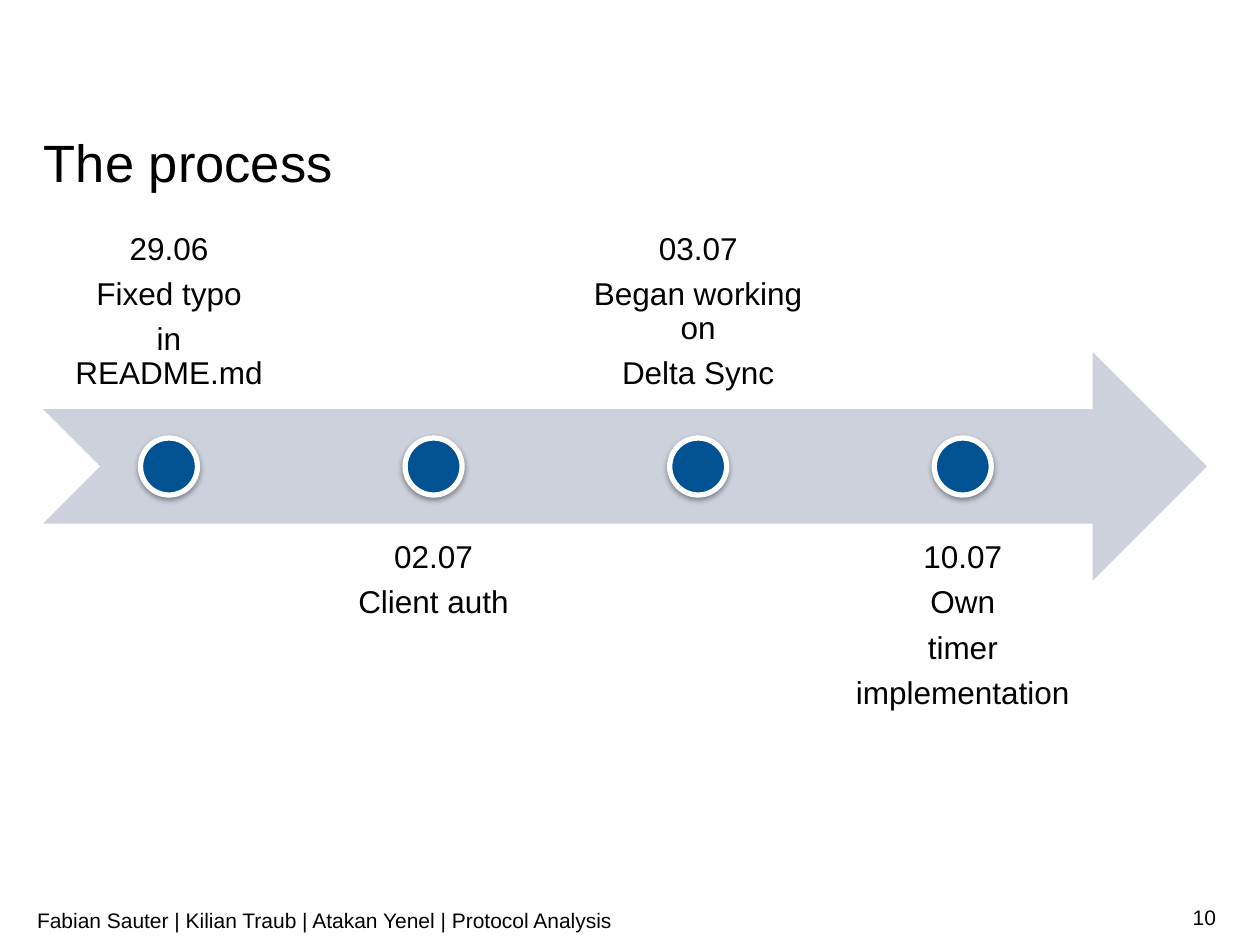
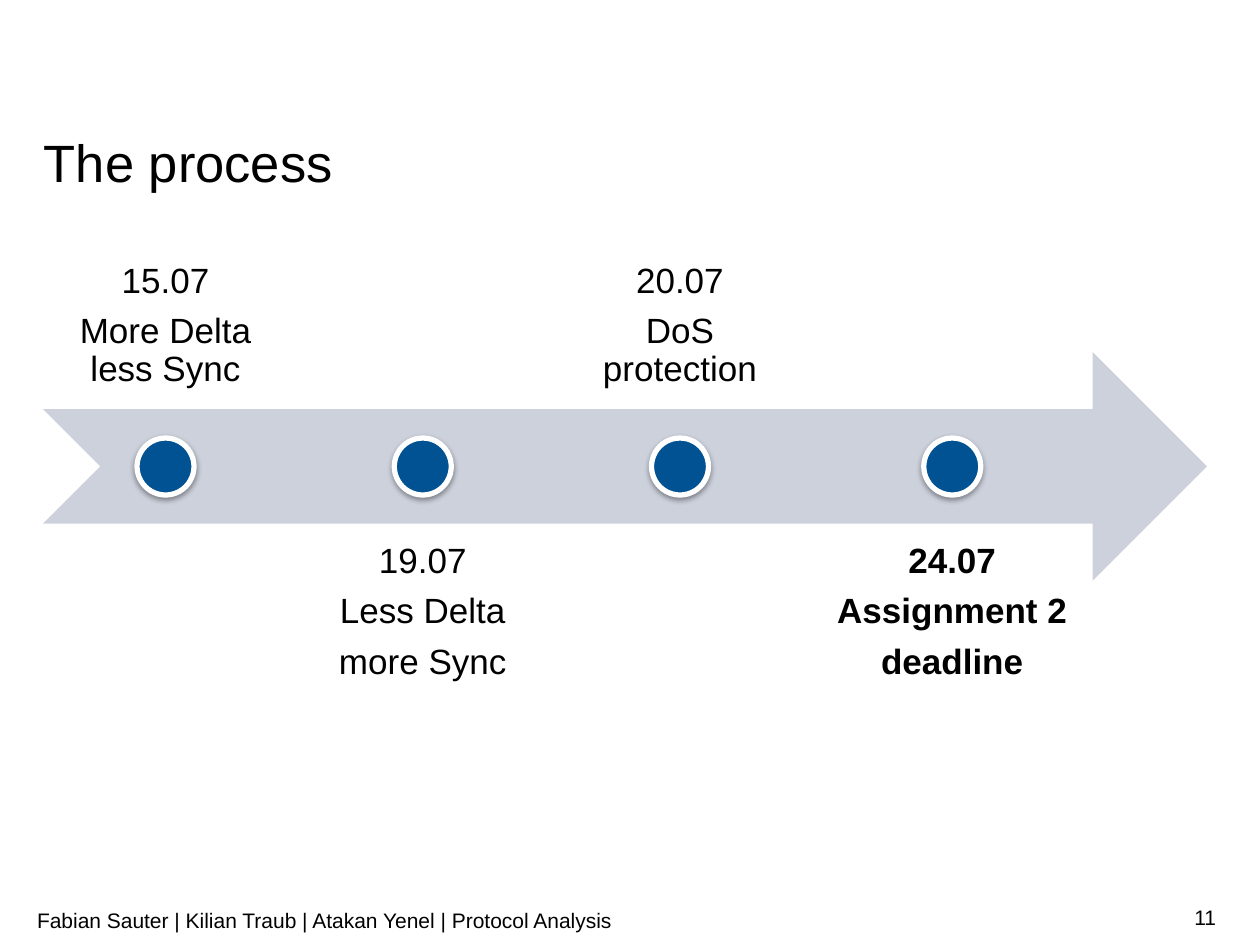
import pptx
import pptx.util
import pptx.oxml
import pptx.dml.color
import pptx.enum.shapes
import pptx.enum.text

SCALE = 914400 / 126
FONT = "Arial"
BLACK = pptx.dml.color.RGBColor(0x00, 0x00, 0x00)
WHITE = pptx.dml.color.RGBColor(0xFF, 0xFF, 0xFF)
BLUE = pptx.dml.color.RGBColor(0x00, 0x52, 0x93)
PALE_BLUE = pptx.dml.color.RGBColor(0xCC, 0xD1, 0xDC)

ALIGN = pptx.enum.text.PP_ALIGN
ANCHOR = pptx.enum.text.MSO_ANCHOR
SHAPE = pptx.enum.shapes.MSO_SHAPE

SLIDE_SIZE = (1260, 945)
TITLE_BOX = (44, 137, 1173, 57)
FOOTER_BOX = (37, 895, 891, 50)
NUMBER_BOX = (934, 892, 282, 50)
ARROW_BOX = (43, 352, 1164, 229)
DOT_SIZE = 57
GAP_RATIO = 0.05
TITLE = "The process"
FOOTER = "Fabian Sauter | Kilian Traub | Atakan Yenel | Protocol Analysis"

SHADOW = (
    '<a:outerShdw xmlns:a="http://schemas.openxmlformats.org/drawingml/2006/main" '
    'blurRad="40000" dist="20000" dir="5400000" rotWithShape="0">'
    '<a:srgbClr val="000000"><a:alpha val="38000"/></a:srgbClr></a:outerShdw>'
)

TIMELINES = [
    dict(number=10, size=18, inset=18, widths=[252, 252, 252, 252], events=[
        ["29.06", "Fixed typo", "in README.md"],
        ["02.07", "Client auth"],
        ["03.07", "Began working on", "Delta Sync"],
        ["10.07", "Own", "timer", "implementation"],
    ]),
    dict(number=11, size=20, inset=20, widths=[245, 245, 245, 275], bold_last=True, events=[
        ["15.07", "More Delta less Sync"],
        ["19.07", "Less Delta", "more Sync"],
        ["20.07", "DoS protection"],
        ["24.07", "Assignment 2", "deadline"],
    ]),
]


def emu(pixels):
    return pptx.util.Emu(round(pixels * SCALE))


def set_format(target, values):
    for name, value in values.items():
        setattr(target, name, value)


def add_text(shapes, box, lines, size, insets=(0, 0), anchor=ANCHOR.TOP, bold=False, **paragraph_format):
    text_box = shapes.add_textbox(*map(emu, box))
    frame = text_box.text_frame
    horizontal, vertical = map(emu, insets)
    set_format(frame, dict(
        word_wrap=True, vertical_anchor=anchor, margin_left=horizontal,
        margin_right=horizontal, margin_top=vertical, margin_bottom=vertical))
    for index, line in enumerate(lines):
        paragraph = frame.add_paragraph() if index else frame.paragraphs[0]
        set_format(paragraph, paragraph_format)
        run = paragraph.add_run()
        run.text = line
        set_format(run.font, dict(name=FONT, size=pptx.util.Pt(size), bold=bold))
        run.font.color.rgb = BLACK


def add_filled_shape(shapes, kind, box, color):
    shape = shapes.add_shape(kind, *map(emu, box))
    shape.shadow.inherit = False
    shape.fill.solid()
    shape.fill.fore_color.rgb = color
    shape.line.fill.background()
    return shape


def add_dot(shapes, center_x, center_y):
    box = (center_x - DOT_SIZE / 2, center_y - DOT_SIZE / 2, DOT_SIZE, DOT_SIZE)
    dot = add_filled_shape(shapes, SHAPE.OVAL, box, BLUE)
    dot.line.color.rgb = WHITE
    dot.line.width = pptx.util.Pt(3)
    effects = dot._element.spPr.find(pptx.oxml.ns.qn("a:effectLst"))
    effects.append(pptx.oxml.parse_xml(SHADOW))


def add_frame(slide, number):
    add_text(slide.shapes, NUMBER_BOX, [str(number)], 12, (0, 6), ANCHOR.MIDDLE, alignment=ALIGN.RIGHT)
    add_text(slide.shapes, FOOTER_BOX, [FOOTER], 12, (0, 6), ANCHOR.MIDDLE)
    add_text(slide.shapes, TITLE_BOX, [TITLE], 30, line_spacing=pptx.util.Pt(32))


def add_timeline(slide, box, size, inset, widths, events, bold_last=False):
    left, top, width, height = box
    shapes = slide.shapes.add_group_shape().shapes
    add_filled_shape(shapes, SHAPE.NOTCHED_RIGHT_ARROW, box, PALE_BLUE)
    shaft_top = top + height / 4
    shaft_bottom = top + height * 3 / 4
    gap = widths[0] * GAP_RATIO
    for index, (event_width, lines) in enumerate(zip(widths, events)):
        above = index % 2 == 0
        label_top = shaft_top - height if above else shaft_bottom
        add_text(
            shapes, (left, label_top, event_width, height), lines, size, (inset, inset),
            ANCHOR.BOTTOM if above else ANCHOR.TOP,
            bold_last and index == len(events) - 1,
            alignment=ALIGN.CENTER, line_spacing=0.9,
            space_after=pptx.util.Pt(0.35 * size))
        add_dot(shapes, left + event_width / 2, top + height / 2)
        left += event_width + gap


def add_timeline_slide(presentation, number, **timeline):
    slide = presentation.slides.add_slide(presentation.slide_layouts[6])
    slide.background.fill.solid()
    slide.background.fill.fore_color.rgb = WHITE
    add_frame(slide, number)
    add_timeline(slide, ARROW_BOX, **timeline)


presentation = pptx.Presentation()
presentation.slide_width, presentation.slide_height = map(emu, SLIDE_SIZE)
for timeline in TIMELINES:
    add_timeline_slide(presentation, **timeline)
presentation.save("out.pptx")
